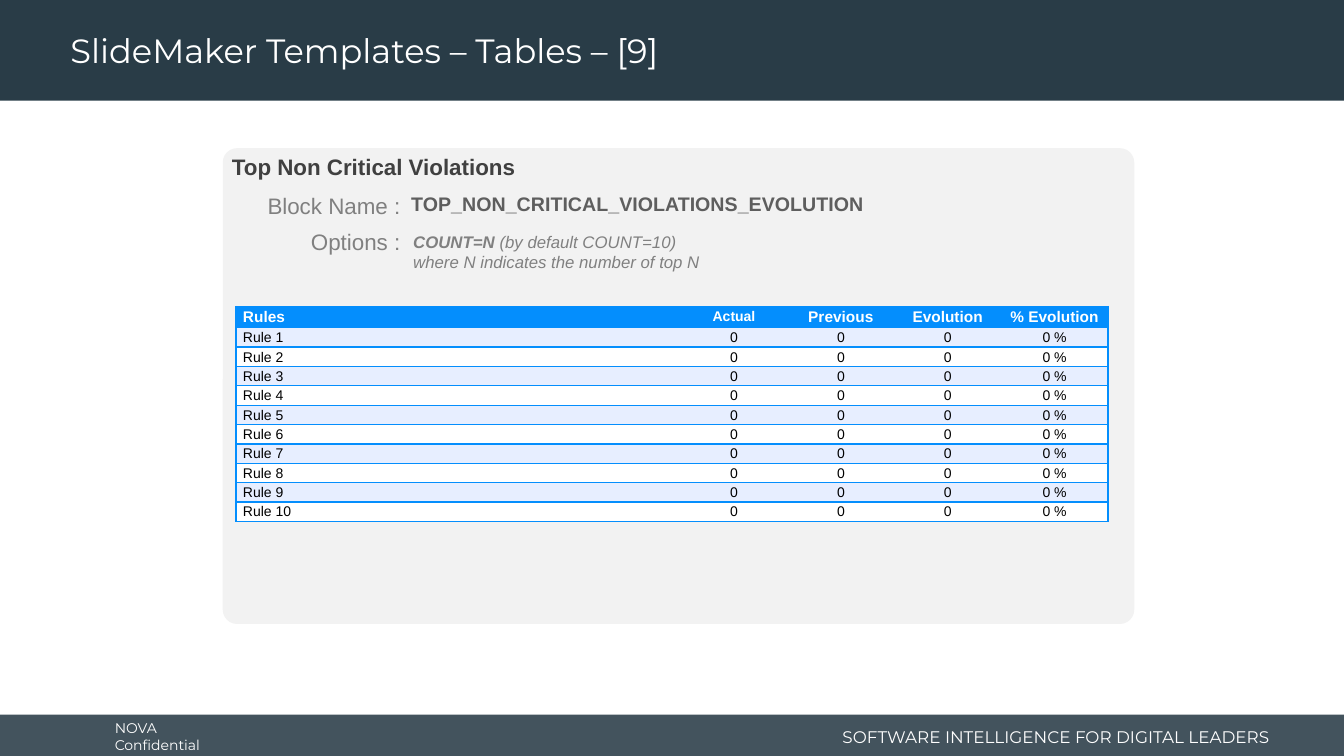
from lxml.etree import SubElement
from pptx import Presentation
from pptx.dml.color import RGBColor
from pptx.enum.shapes import MSO_SHAPE
from pptx.enum.text import MSO_ANCHOR, PP_ALIGN
from pptx.oxml.ns import qn
from pptx.util import Inches, Pt

HEX = {"navy": "293C47", "white": "FFFFFF", "panel": "F2F2F2", "dark": "404040",
       "slate": "5E5E5E", "gray": "808080", "blue": "048EFD", "pale": "E7EEFF",
       "black": "000000"}
LEFT, MID, RIGHT = PP_ALIGN.LEFT, PP_ALIGN.CENTER, PP_ALIGN.RIGHT
TOP, CORE = MSO_ANCHOR.TOP, MSO_ANCHOR.MIDDLE


def write(para, text, color, form):
    run = para.add_run()
    run.text = text
    for key, value in form.items():
        setattr(run.font, key, value)
    run.font.color.rgb = RGBColor.from_string(HEX[color])


deck = Presentation()
deck.slide_width, deck.slide_height = Inches(13.33), Inches(7.5)
slide = deck.slides.add_slide(deck.slide_layouts[6])

shapes = [
    (MSO_SHAPE.RECTANGLE, (0, 7.09, 13.33, 0.44), "navy", 88),
    (MSO_SHAPE.RECTANGLE, (0, 0, 13.33, 1), "navy", 100),
    (MSO_SHAPE.ROUNDED_RECTANGLE, (2.21, 1.47, 9.04, 4.72), "panel", 100),
]
for kind, box, color, alpha in shapes:
    shape = slide.shapes.add_shape(kind, *map(Inches, box))
    shape.shadow.inherit = False
    shape.line.fill.background()
    shape.fill.solid()
    shape.fill.fore_color.rgb = RGBColor.from_string(HEX[color])
    if alpha < 100:
        tint = shape.fill._xPr.find(".//" + qn("a:srgbClr"))
        SubElement(tint, qn("a:alpha"), val=str(alpha * 1000))
    if kind == MSO_SHAPE.ROUNDED_RECTANGLE:
        shape.adjustments[0] = 0.03

mont = {"name": "Montserrat"}
head = {"name": "Arial", "size": Pt(16), "bold": True}
code = {**head, "size": Pt(14)}
label = {**head, "bold": False}
note = {"name": "Arial", "size": Pt(12), "italic": True}
texts = [
    ((1.04, 7.11, 1.48, 0.4), LEFT, CORE, False, 0.1, "white",
     [[("NOVA Confidential", {**mont, "size": Pt(10)})]]),
    ((8.11, 7.15, 4.58, 0.32), RIGHT, CORE, True, 0.1, "white",
     [[("SOFTWARE INTELLIGENCE FOR DIGITAL LEADERS", {**mont, "size": Pt(12)})]]),
    ((0.6, 0.04, 9.58, 0.96), LEFT, CORE, True, 0.1, "white",
     [[("SlideMaker Templates – Tables – [9]", {**mont, "size": Pt(24)})]]),
    ((2.1, 1.47, 8.91, 0.37), LEFT, TOP, True, 0.2, "dark",
     [[("Top Non Critical Violations", head)]]),
    ((3.98, 1.86, 7.25, 0.34), LEFT, TOP, True, 0.1, "slate",
     [[("TOP_NON_CRITICAL_VIOLATIONS_EVOLUTION", code)]]),
    ((2.4, 1.86, 1.67, 0.37), RIGHT, TOP, False, 0.1, "gray",
     [[("Block Name :", label)]]),
    ((4, 2.25, 7.25, 0.5), LEFT, TOP, True, 0.1, "gray",
     [[("COUNT=N", {**note, "bold": True}), (" (by default COUNT=10)", note)],
      [("where N indicates the number of top N", note)]]),
    ((2.86, 2.21, 1.21, 0.37), RIGHT, TOP, False, 0.1, "gray",
     [[("Options :", label)]]),
]
for box, align, anchor, wrap, inset, color, lines in texts:
    frame = slide.shapes.add_textbox(*map(Inches, box)).text_frame
    form = {"word_wrap": wrap, "vertical_anchor": anchor,
            "margin_left": Inches(inset), "margin_right": Inches(inset)}
    for key, value in form.items():
        setattr(frame, key, value)
    for num, runs in enumerate(lines):
        para = frame.add_paragraph() if num else frame.paragraphs[0]
        para.alignment = align
        para.line_spacing = 0.9 if box[1] < 1 else 1
        for text, font in runs:
            write(para, text, color, font)

rows = [["Rules", "Actual", "Previous", "Evolution", "% Evolution"]]
rows += [[f"Rule {num}", "0", "0", "0", "0 %"] for num in range(1, 11)]
widths = [4.41] + [1.06] * 4
grid = slide.shapes.add_table(len(rows), len(widths), Inches(2.34), Inches(3.04),
                              Inches(8.66), Inches(2.11)).table
for col, width in zip(grid.columns, widths):
    col.width = Inches(width)

pads = {"margin_left": Inches(0.07), "margin_right": Inches(0.07),
        "margin_top": 0, "margin_bottom": 0}
for r, row in enumerate(rows):
    grid.rows[r].height = Inches(0.19 if r else 0.21)
    for c, text in enumerate(row):
        cell = grid.cell(r, c)
        for key, value in pads.items():
            setattr(cell, key, value)
        props = cell._tc.get_or_add_tcPr()
        edges = {"L": c == 0, "R": c == len(row) - 1, "T": True, "B": True}
        for side, shown in edges.items():
            line = SubElement(props, qn("a:ln" + side), w=str(Pt(1)))
            if shown:
                fill = SubElement(line, qn("a:solidFill"))
                SubElement(fill, qn("a:srgbClr"), val=HEX["blue"])
            else:
                SubElement(line, qn("a:noFill"))
        shade = "blue" if r == 0 else "pale" if r % 2 else "white"
        cell.fill.solid()
        cell.fill.fore_color.rgb = RGBColor.from_string(HEX[shade])
        para = cell.text_frame.paragraphs[0]
        para.alignment = MID if c else LEFT
        para.line_spacing = 1.15
        size = 10 if r or text == "Actual" else 11
        write(para, text, "black" if r else "white",
              {"name": "Arial", "size": Pt(size), "bold": r == 0})

deck.save("out.pptx")
